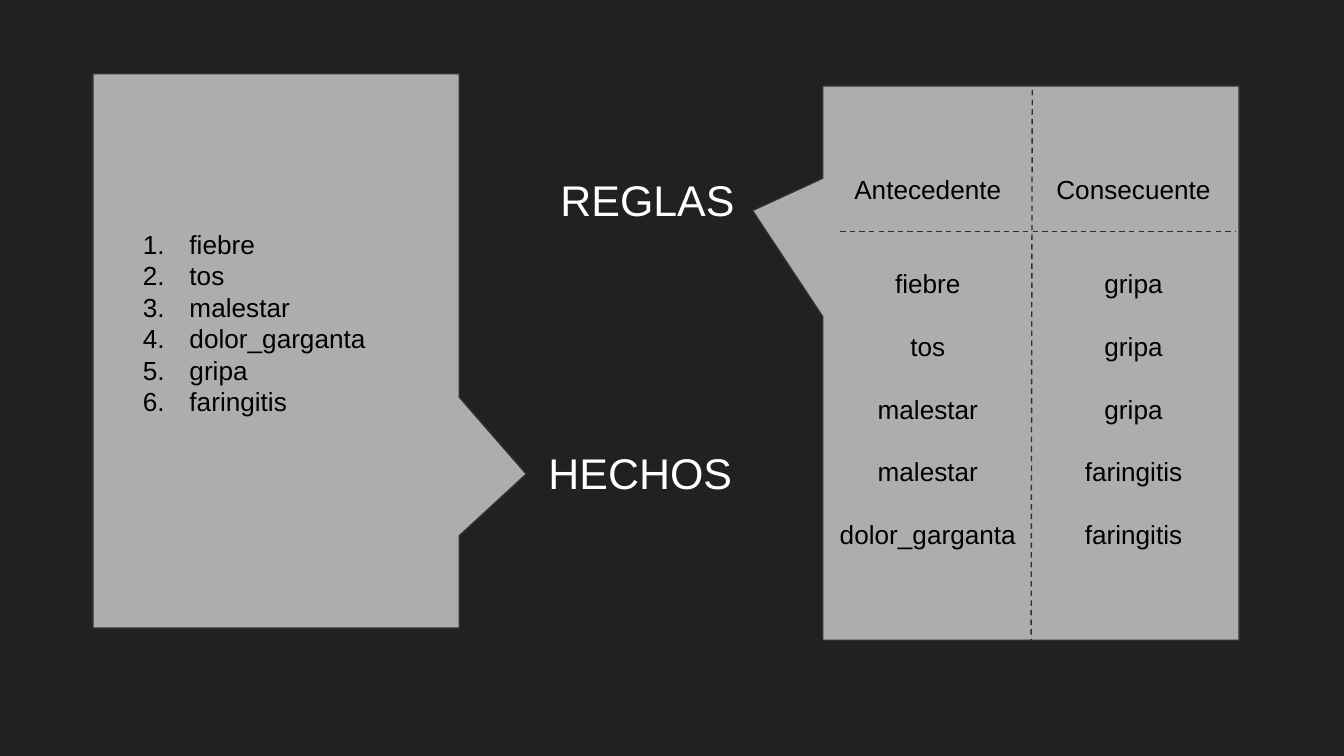
"""Build the slide that sets a list of facts beside a table of rules."""
import lxml.etree
import pptx
import pptx.dml.color
import pptx.enum.dml
import pptx.enum.shapes
import pptx.enum.text
import pptx.oxml.ns
import pptx.util

Pt = pptx.util.Pt
qn = pptx.oxml.ns.qn
ALIGN = pptx.enum.text.PP_ALIGN

COLORS = {"background": "212121", "panel": "ADADAD", "outline": "303030",
          "label": "FFFFFF", "text": "000000"}
FACTS = ["fiebre", "tos", "malestar", "dolor_garganta", "gripa", "faringitis"]
RULES = [("Antecedente", "Consecuente"), ("fiebre", "gripa"), ("tos", "gripa"),
         ("malestar", "gripa"), ("malestar", "faringitis"),
         ("dolor_garganta", "faringitis")]
ANTECEDENTS, CONSEQUENTS = zip(*RULES)

LEADING = 1.2
LABEL = {"size": 23, "color": "label", "align": ALIGN.LEFT}
LIST = {"size": 14, "color": "text", "align": ALIGN.LEFT, "numbered": True}
COLUMN = {"size": 14, "color": "text", "align": ALIGN.CENTER, "gaps": (0, 2, 1, 1, 1, 1)}

TEXTS = [
    (0, ["HECHOS"], (286.6, 231.8, 126.7, 42.5), LABEL),
    (1, ["REGLAS"], (293, 85.7, 126.7, 42.5), LABEL),
    (2, FACTS, (58.3, 115.2, 174.2, 116.6), LIST),
    (3, ANTECEDENTS, (440.6, 85.7, 113, 218.2), COLUMN),
    (4, CONSEQUENTS, (550.8, 85.7, 113, 218.2), COLUMN),
]
PANELS = [
    ((147.9, 188), (297, 196.3), 270, (-0.222, 0.683, 0)),
    ((552.3, 194.5), (297, 223), 90, (-0.275, 0.669, 0)),
]
DIVIDERS = [(553, 48.2, 552.4, 343.2), (450, 123.9, 662.4, 123.9)]


def rgb(name):
    return pptx.dml.color.RGBColor.from_string(COLORS[name])


def set_all(target, values):
    for key, value in values.items():
        setattr(target, key, value)


def set_bullet(paragraph, style):
    properties = paragraph._p.get_or_add_pPr()
    numbered = style.get("numbered", False)
    properties.set("marL", str(Pt(36 if numbered else 0)))
    properties.set("indent", str(Pt(-25 if numbered else 0)))
    if not numbered:
        lxml.etree.SubElement(properties, qn("a:buNone"))
        return
    color = lxml.etree.SubElement(properties, qn("a:buClr"))
    lxml.etree.SubElement(color, qn("a:srgbClr"), val=COLORS[style["color"]])
    lxml.etree.SubElement(properties, qn("a:buFont"), typeface="Arial")
    lxml.etree.SubElement(properties, qn("a:buAutoNum"), type="arabicPeriod")


def fill_placeholder(placeholder, lines, box, style):
    set_all(placeholder, dict(zip(("left", "top", "width", "height"), map(Pt, box))))
    frame = placeholder.text_frame
    set_all(frame, {"word_wrap": True, "auto_size": pptx.enum.text.MSO_AUTO_SIZE.NONE,
                    "vertical_anchor": pptx.enum.text.MSO_ANCHOR.TOP,
                    **{f"margin_{side}": Pt(7.2)
                       for side in ("left", "top", "right", "bottom")}})
    frame.text = "\n".join(lines)
    pitch = style["size"] * LEADING
    gaps = style.get("gaps", (0,) * len(lines))
    for paragraph, gap in zip(frame.paragraphs, gaps):
        set_bullet(paragraph, style)
        set_all(paragraph, {"alignment": style["align"], "line_spacing": Pt(pitch),
                            "space_before": Pt(gap * pitch), "space_after": Pt(0)})
        font = paragraph.runs[0].font
        set_all(font, {"name": "Arial", "size": Pt(style["size"]), "bold": False})
        font.color.rgb = rgb(style["color"])


def outline(line):
    line.color.rgb = rgb("outline")
    line.width = Pt(0.75)


def add_panel(slide, center, size, rotation, adjustments):
    (x, y), (width, height) = center, size
    panel = slide.shapes.add_shape(
        pptx.enum.shapes.MSO_SHAPE.ROUNDED_RECTANGULAR_CALLOUT,
        Pt(x - width / 2), Pt(y - height / 2), Pt(width), Pt(height))
    panel.rotation = rotation
    for index, value in enumerate(adjustments):
        panel.adjustments[index] = value
    panel.shadow.inherit = False
    panel.fill.solid()
    panel.fill.fore_color.rgb = rgb("panel")
    outline(panel.line)
    slide.shapes._spTree.insert(2, panel._element)


def add_divider(slide, ends):
    divider = slide.shapes.add_connector(
        pptx.enum.shapes.MSO_CONNECTOR.STRAIGHT, *map(Pt, ends))
    outline(divider.line)
    divider.line.dash_style = pptx.enum.dml.MSO_LINE.DASH
    lxml.etree.SubElement(divider._element.spPr, qn("a:effectLst"))


def main():
    deck = pptx.Presentation()
    set_all(deck, {"slide_width": Pt(720), "slide_height": Pt(405)})
    slide = deck.slides.add_slide(deck.slide_layouts.get_by_name("Comparison"))
    slide.background.fill.solid()
    slide.background.fill.fore_color.rgb = rgb("background")
    for index, lines, box, style in TEXTS:
        fill_placeholder(slide.placeholders[index], lines, box, style)
    for panel in reversed(PANELS):
        add_panel(slide, *panel)
    for ends in DIVIDERS:
        add_divider(slide, ends)
    deck.save("out.pptx")


if __name__ == "__main__":
    main()
